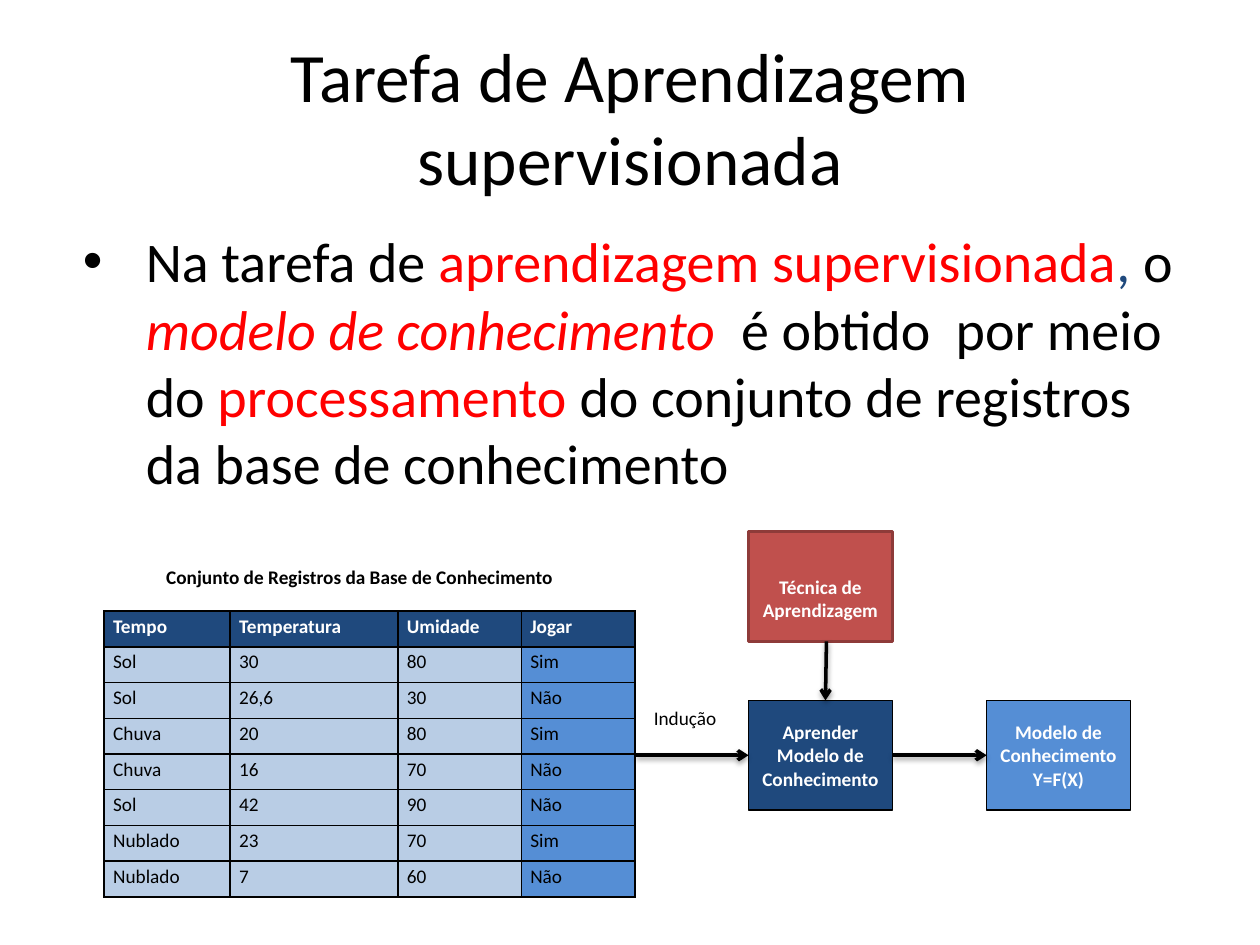
import pptx
import pptx.dml.color
import pptx.enum.shapes
import pptx.enum.text
import pptx.oxml
import pptx.oxml.ns
import pptx.util

Cm, Pt = pptx.util.Cm, pptx.util.Pt
ALIGN = pptx.enum.text.PP_ALIGN
ANCHOR = pptx.enum.text.MSO_ANCHOR
RECTANGLE = pptx.enum.shapes.MSO_SHAPE.RECTANGLE
STRAIGHT = pptx.enum.shapes.MSO_CONNECTOR.STRAIGHT

BLACK, WHITE, RED = "000000", "FFFFFF", "FF0000"
NAVY, BLUE, PALE, BRICK = "1F497D", "558ED5", "B9CDE5", "C0504D"


def rgb(value):
    return pptx.dml.color.RGBColor.from_string(value)


def xml(tag, inner="", **attributes):
    """Build a drawing element with the given attributes and content."""
    values = " ".join(f'{key}="{value}"' for key, value in attributes.items())
    namespace = pptx.oxml.ns.nsdecls("a")
    return pptx.oxml.parse_xml(f"<a:{tag} {namespace} {values}>{inner}</a:{tag}>")


def apply(target, values):
    for key, value in values.items():
        setattr(target, key, value)


class SlideBuilder:
    font = "Calibri"
    small = 11

    def __init__(self, slide):
        self.slide = slide

    def fill_text(self, frame, runs, size=small, color=BLACK, frame_format=None,
                  **paragraph_format):
        """Fill a text frame with runs of (text, font format)."""
        apply(frame, {"word_wrap": True, **(frame_format or {})})
        paragraph = frame.paragraphs[0]
        apply(paragraph, paragraph_format)
        for text, look in runs:
            for index, line in enumerate(text.split("\n")):
                if index:
                    paragraph.add_line_break()
                run = paragraph.add_run()
                run.text = line
                values = {"name": self.font, "size": Pt(size), **look}
                run.font.color.rgb = rgb(values.pop("color", color))
                apply(run.font, values)
        return paragraph

    def text(self, place, runs, **style):
        box = self.slide.shapes.add_textbox(*map(Cm, place))
        return self.fill_text(box.text_frame, runs, **style)

    def box(self, place, text, fill, line=None, line_width=0.75, bold=True, **style):
        shape = self.slide.shapes.add_shape(RECTANGLE, *map(Cm, place))
        shape.shadow.inherit = False
        shape.fill.solid()
        shape.fill.fore_color.rgb = rgb(fill)
        if line:
            shape.line.color.rgb = rgb(line)
            shape.line.width = Pt(line_width)
        else:
            shape.line.fill.background()
        self.fill_text(shape.text_frame, [(text, {"bold": bold})], space_after=Pt(10), **style)

    def arrow(self, *ends):
        arrow = self.slide.shapes.add_connector(STRAIGHT, *map(Cm, ends))
        arrow.line.color.rgb = rgb(BLACK)
        arrow.line.width = Pt(2)
        arrow.line._get_or_add_ln().append(xml("tailEnd", type="arrow"))
        shadow = (f'<a:outerShdw blurRad="{Pt(3.1)}" dist="{Pt(1.6)}" dir="5400000" rotWithShape="0">'
                  '<a:srgbClr val="000000"><a:alpha val="38000"/></a:srgbClr></a:outerShdw>')
        arrow._element.spPr.append(xml("effectLst", shadow))

    def table(self, left, top, widths, row_height, rows):
        place = map(Cm, (left, top, sum(widths), row_height * len(rows)))
        table = self.slide.shapes.add_table(len(rows), len(widths), *place).table
        for column, width in zip(table.columns, widths):
            column.width = Cm(width)
        for r, row in enumerate(rows):
            table.rows[r].height = Cm(row_height)
            for c, text in enumerate(row):
                header, target = r == 0, c == len(row) - 1
                self.cell(table.cell(r, c), text, header,
                          NAVY if header else BLUE if target else PALE)

    def cell(self, cell, text, header, fill):
        apply(cell, {"margin_left": Cm(0.18), "margin_right": Cm(0.18),
                     "margin_top": 0, "margin_bottom": 0})
        cell.fill.solid()
        cell.fill.fore_color.rgb = rgb(fill)
        self.fill_text(cell.text_frame, [(text, {"bold": header})],
                       color=WHITE if header else BLACK, line_spacing=1.15)
        black = '<a:solidFill><a:srgbClr val="000000"/></a:solidFill>'
        for position, side in enumerate(("lnL", "lnR", "lnT", "lnB")):
            cell._tc.tcPr.insert(position, xml(side, black, w=Pt(1)))


presentation = pptx.Presentation()
presentation.slide_width, presentation.slide_height = Cm(25.4), Cm(19.05)
builder = SlideBuilder(presentation.slides.add_slide(presentation.slide_layouts[6]))

# Title
builder.text((1.27, 0.76, 22.86, 3.18), [("Tarefa de Aprendizagem supervisionada", {})],
             size=39.6, alignment=ALIGN.CENTER,
             frame_format={"vertical_anchor": ANCHOR.MIDDLE})

# Definition with a bullet
definition = builder.text((1.27, 4.45, 22.86, 12.57), [
    ("Na tarefa de ", {}),
    ("aprendizagem supervisionada", {"color": RED}),
    (", ", {"color": NAVY}),
    ("o ", {}),
    ("modelo de conhecimento  ", {"color": RED, "italic": True}),
    ("é obtido  por meio do ", {}),
    ("processamento", {"color": RED}),
    (" do conjunto de registros  da base de conhecimento", {}),
], size=32, space_before=Pt(6.4))
bullet = definition._p.get_or_add_pPr()
bullet.set("marL", str(Cm(1.42)))
bullet.set("indent", str(Cm(-1.27)))
bullet.append(xml("buFont", typeface="Arial"))
bullet.append(xml("buChar", char="•"))

# Training records
builder.table(2.1, 12.32, (2.54, 3.38, 2.49, 2.29), 0.72, [
    ("Tempo", "Temperatura", "Umidade", "Jogar"),
    ("Sol", "30", "80", "Sim"),
    ("Sol", "26,6", "30", "Não"),
    ("Chuva", "20", "80", "Sim"),
    ("Chuva", "16", "70", "Não"),
    ("Sol", "42", "90", "Não"),
    ("Nublado", "23", "70", "Sim"),
    ("Nublado", "7", "60", "Não"),
])
builder.box((3.1, 11.28, 8.81, 0.79), "Conjunto de Registros da Base de Conhecimento",
            WHITE, alignment=ALIGN.LEFT, frame_format={"vertical_anchor": ANCHOR.TOP})

# Learning steps
step_width, step_height = 2.9, 2.21
learn_left, model_left, technique_top, step_top = 15.09, 19.89, 10.72, 14.12
centered = {"vertical_anchor": ANCHOR.MIDDLE, "margin_left": Cm(0.1), "margin_right": Cm(0.1)}
lowered = {**centered, "margin_top": Cm(0.6)}
for left, top, text, fill, line, width, frame_format in (
    (learn_left, step_top, "Aprender\nModelo de\nConhecimento", NAVY, BLACK, 0.75, centered),
    (model_left, step_top, "Modelo de\nConhecimento\nY=F(X)", BLUE, BLACK, 0.75, centered),
    (learn_left, technique_top, "Técnica de\nAprendizagem", BRICK, "8E3B39", 2, lowered),
):
    builder.box((left, top, step_width, step_height), text, fill, line, width,
                color=WHITE, alignment=ALIGN.CENTER, frame_format=frame_format)

# Flow between the parts
builder.box((12.93, step_top, 1.96, 0.97), "Indução", WHITE, bold=False,
            alignment=ALIGN.LEFT, frame_format={"vertical_anchor": ANCHOR.TOP})
flow_y = step_top + step_height / 2
builder.arrow(12.83, flow_y, learn_left, flow_y)
builder.arrow(learn_left + step_width, flow_y, model_left, flow_y)
builder.arrow(16.66, technique_top + step_height, 16.64, step_top)

presentation.save("out.pptx")
